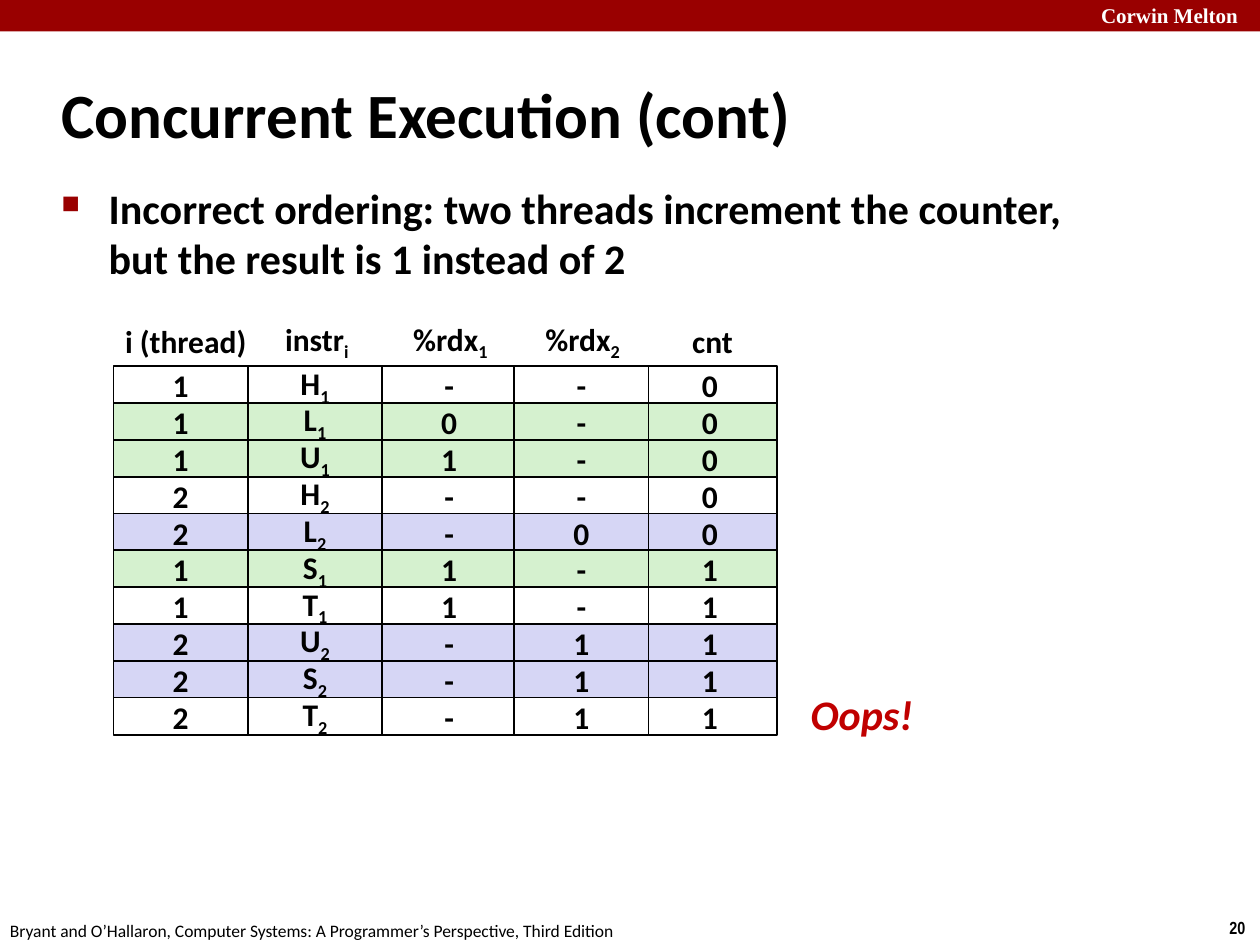
from lxml.etree import SubElement
from pptx import Presentation
from pptx.dml.color import RGBColor
from pptx.enum.shapes import MSO_SHAPE as Shape
from pptx.enum.text import MSO_ANCHOR as Anchor, MSO_AUTO_SIZE as AutoSize, PP_ALIGN as Align
from pptx.oxml.ns import qn
from pptx.util import Pt

BLACK, WHITE, CRIMSON, RED = "000000", "FFFFFF", "990000", "C00000"
GREEN, VIOLET = "D5F1CF", "D6D6F5"

# Thread, instruction, %rdx1, %rdx2, cnt, fill
TRACE = [
    ("1", "H_1", "-", "-", "0", WHITE),
    ("1", "L_1", "0", "-", "0", GREEN),
    ("1", "U_1", "1", "-", "0", GREEN),
    ("2", "H_2", "-", "-", "0", WHITE),
    ("2", "L_2", "-", "0", "0", VIOLET),
    ("1", "S_1", "1", "-", "1", GREEN),
    ("1", "T_1", "1", "-", "1", WHITE),
    ("2", "U_2", "-", "1", "1", VIOLET),
    ("2", "S_2", "-", "1", "1", VIOLET),
    ("2", "T_2", "-", "1", "1", WHITE),
]
# Heading, heading left, heading width, column left; lefts are relative to the trace
COLUMNS = [
    ("i (thread)", -0.7, 84.2, 0),
    ("instr_i", 90.7, 51.1, 76.8),
    ("%rdx_1", 163.4, 58.3, 153.4),
    ("%rdx_2", 239, 58.3, 229),
    ("cnt", 323.3, 38.2, 302.4),
]
STACKING = [1, 0, 2, 4, 3]  # columns from back to front; neighbours overlap a little


def color(hex_value):
    return RGBColor.from_string(hex_value)


def write(shape, text, size, ink=BLACK, font="Calibri", bold=True, italic=False,
          align=Align.LEFT, anchor=Anchor.TOP, wrap=True):
    """Fill a shape with one paragraph; what follows an underscore is a subscript."""
    frame = shape.text_frame
    frame.word_wrap = wrap
    frame.vertical_anchor = anchor
    para = frame.paragraphs[0]
    para.alignment = align
    for index, part in enumerate(text.split("_")):
        span = para.add_run()
        span.text = part
        span.font.size = Pt(size)
        span.font.name = font
        span.font.bold = bold
        span.font.italic = italic
        span.font.color.rgb = color(ink)
        if index:
            span._r.get_or_add_rPr().set("baseline", "-25000")
    return para


def add_box(page, left, top, width, height, fill, outline=None):
    box = page.shapes.add_shape(Shape.RECTANGLE, Pt(left), Pt(top), Pt(width), Pt(height))
    box.shadow.inherit = False
    box.fill.solid()
    box.fill.fore_color.rgb = color(fill)
    if outline:
        box.line.color.rgb = color(outline)
        box.line.width = Pt(1)
    else:
        box.line.fill.background()
    return box


def add_text(page, left, top, width, height, text, size, grow=True, **style):
    box = page.shapes.add_textbox(Pt(left), Pt(top), Pt(width), Pt(height))
    para = write(box, text, size, **style)
    box.text_frame.auto_size = AutoSize.SHAPE_TO_FIT_TEXT if grow else AutoSize.NONE
    return para


def hang(para, indent):
    properties = para._p.get_or_add_pPr()
    properties.set("marL", str(Pt(indent)))
    properties.set("indent", str(-Pt(indent)))
    return properties


def add_square_bullet(para, indent):
    properties = hang(para, indent)
    bullet_color = SubElement(properties, qn("a:buClr"))
    SubElement(bullet_color, qn("a:srgbClr"), val=CRIMSON)
    SubElement(properties, qn("a:buSzPct"), val="60000")
    SubElement(properties, qn("a:buChar"), char="■")


def add_banner(page, left, top, width, height):
    add_box(page, left, top, width, height, CRIMSON)
    add_text(page, left + width - 97.9, top - 2.2, 103, 21.6, "Corwin Melton", 12,
             ink=WHITE, font="Times New Roman")


def add_footer(page, left, top, width):
    add_text(page, left + width - 24.5, top - 1.4, 24.5, 19.4, "20", 10,
             font="Arial Narrow", wrap=False)
    add_text(page, left - 1.4, top, 365.8, 19.4,
             "Bryant and O’Hallaron, Computer Systems: A Programmer’s Perspective, Third Edition",
             10, bold=False, wrap=False)


def add_heading(page, left, top, width, height):
    para = add_text(page, left, top, width, height, "Concurrent Execution (cont)", 36,
                    grow=False, anchor=Anchor.MIDDLE)
    hang(para, 9.4)


def add_body(page, left, top, width, height):
    para = add_text(page, left, top, width, height,
                    "Incorrect ordering: two threads increment the counter, "
                    "but the result is 1 instead of 2", 24, grow=False)
    para.space_before = Pt(4.8)
    add_square_bullet(para, 27)


def add_trace(page, left, top, cell_width, cell_height, row_pitch):
    """Lay out the execution trace, with its headings above the top edge."""
    centred = dict(align=Align.CENTER, anchor=Anchor.MIDDLE)
    for column in STACKING:
        heading, heading_left, heading_width, offset = COLUMNS[column]
        for row, values in enumerate(TRACE):
            cell = add_box(page, left + offset, top + row * row_pitch,
                           cell_width, cell_height, values[-1], BLACK)
            write(cell, values[column], 18, **centred)
        add_text(page, left + heading_left, top - 28.8, heading_width, 28.8,
                 heading, 18, wrap=False, **centred)
    add_text(page, left + 391, top + 180.7, 73.4, 36, "Oops!", 24,
             ink=RED, italic=True, wrap=False, **centred)


def main():
    deck = Presentation()
    deck.slide_width, deck.slide_height = Pt(720), Pt(540)
    page = deck.slides.add_slide(deck.slide_layouts[6])
    add_banner(page, 0, 0, 720, 18)
    add_footer(page, 0, 522, 720)
    add_heading(page, 28, 34.6, 597.6, 59.8)
    add_body(page, 28, 100.8, 622, 67.7)
    add_trace(page, 64.8, 209.3, 76.8, 21.6, 21.04)
    deck.save("out.pptx")


if __name__ == "__main__":
    main()
